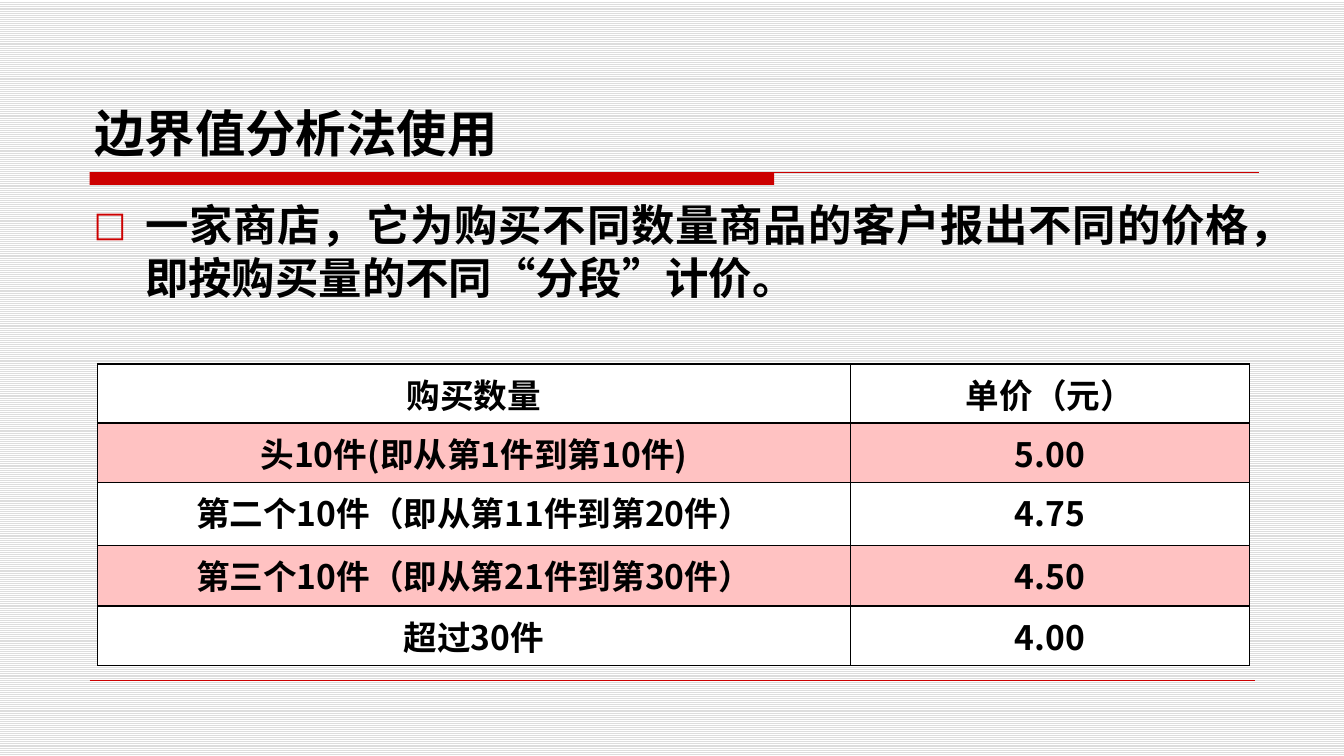
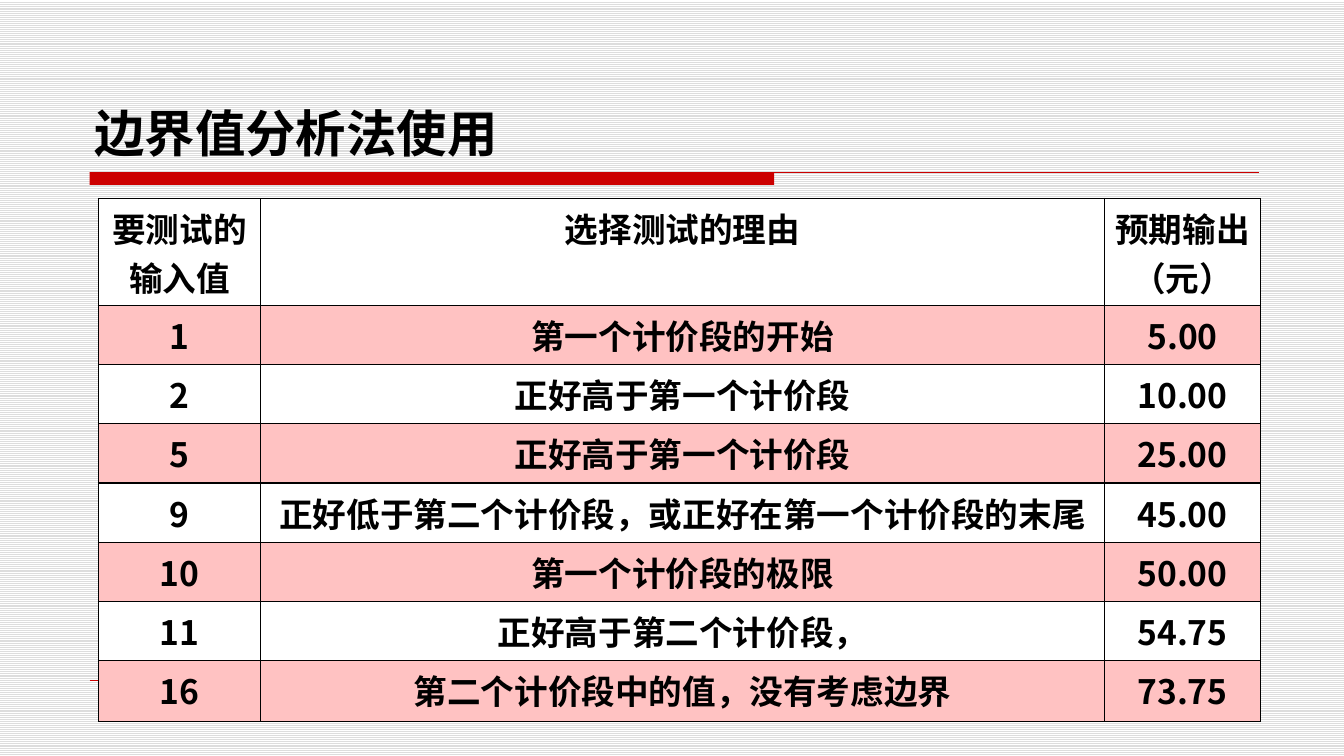
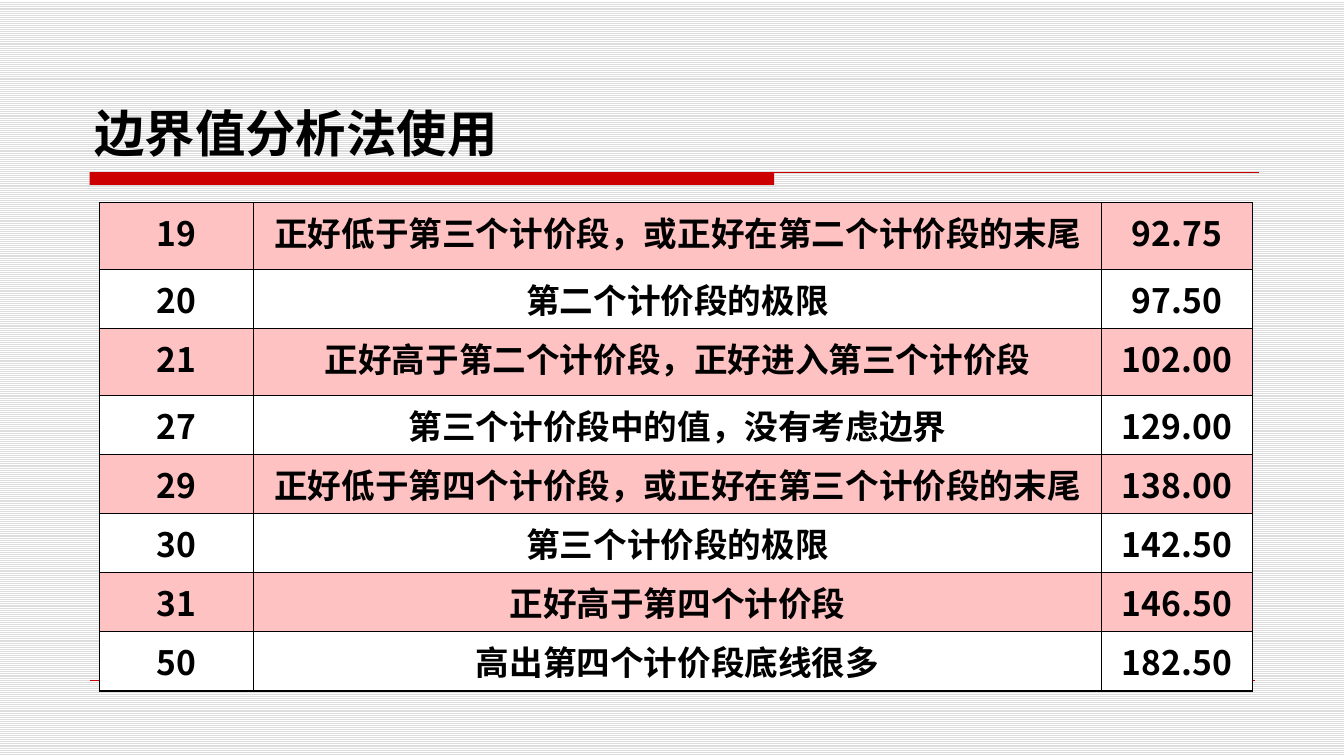
from lxml.etree import SubElement
from pptx import Presentation
from pptx.dml.color import RGBColor
from pptx.enum.dml import MSO_PATTERN
from pptx.enum.shapes import MSO_CONNECTOR, MSO_SHAPE
from pptx.enum.text import MSO_ANCHOR, PP_ALIGN
from pptx.oxml.ns import qn
from pptx.util import Cm, Pt

COLORS = {"text": "000000", "accent": "CC0000", "tint": "FFC2C2",
          "plain": "FFFFFF", "stripe": "DDDDDD"}
CJK_FONT = "Noto Sans CJK SC"
BODY_FONT = "DejaVu Sans"

TITLE = "边界值分析法使用"
INTRO = "一家商店，它为购买不同数量商品的客户报出不同的价格，即按购买量的不同“分段”计价。"

# Lengths are in centimetres; tinted_from is the first tinted row, then every second one.
ROW_HEIGHT = 1.49
TABLES = [
    {
        "intro": INTRO, "left": 2.46, "top": 9.17, "tinted_from": 1,
        "columns": [18.97, 10.06],
        "taller_rows": {2: 1.6, 3: 1.52},
        "rows": [
            ("购买数量", "单价（元）"),
            ("头10件(即从第1件到第10件)", "5.00"),
            ("第二个10件（即从第11件到第20件）", "4.75"),
            ("第三个10件（即从第21件到第30件）", "4.50"),
            ("超过30件", "4.00"),
        ],
    },
    {
        "intro": None, "left": 2.48, "top": 5.0, "tinted_from": 1,
        "columns": [4.09, 21.26, 3.94],
        "taller_rows": {0: 2.7, 7: 1.55},
        "rows": [
            ("要测试的输入值", "选择测试的理由", "预期输出（元）"),
            ("1", "第一个计价段的开始", "5.00"),
            ("2", "正好高于第一个计价段", "10.00"),
            ("5", "正好高于第一个计价段", "25.00"),
            ("9", "正好低于第二个计价段，或正好在第一个计价段的末尾", "45.00"),
            ("10", "第一个计价段的极限", "50.00"),
            ("11", "正好高于第二个计价段，", "54.75"),
            ("16", "第二个计价段中的值，没有考虑边界", "73.75"),
        ],
    },
    {
        "intro": None, "left": 2.5, "top": 5.11, "tinted_from": 0,
        "columns": [3.89, 21.37, 3.8],
        "taller_rows": {0: 1.68, 2: 1.68},
        "rows": [
            ("19", "正好低于第三个计价段，或正好在第二个计价段的末尾", "92.75"),
            ("20", "第二个计价段的极限", "97.50"),
            ("21", "正好高于第二个计价段，正好进入第三个计价段", "102.00"),
            ("27", "第三个计价段中的值，没有考虑边界", "129.00"),
            ("29", "正好低于第四个计价段，或正好在第三个计价段的末尾", "138.00"),
            ("30", "第三个计价段的极限", "142.50"),
            ("31", "正好高于第四个计价段", "146.50"),
            ("50", "高出第四个计价段底线很多", "182.50"),
        ],
    },
]


def color(name):
    """Return a palette colour."""
    return RGBColor.from_string(COLORS[name])


def add_run(paragraph, text, size, font=CJK_FONT):
    """Add a bold run with its Latin and East Asian fonts."""
    run = paragraph.add_run()
    run.text = text
    run.font.size = Pt(size)
    run.font.bold = True
    run.font.name = font
    run.font.color.rgb = color("text")
    SubElement(run.font._element, qn("a:ea"), typeface=CJK_FONT)


def add_text_box(slide, left, top, width, height, anchor):
    """Add a wrapping text box and return its frame."""
    frame = slide.shapes.add_textbox(Cm(left), Cm(top), Cm(width), Cm(height)).text_frame
    frame.word_wrap = True
    frame.vertical_anchor = anchor
    return frame


def add_rule(slide, left, right, y, weight):
    """Add a thin horizontal accent line."""
    rule = slide.shapes.add_connector(MSO_CONNECTOR.STRAIGHT, Cm(left), Cm(y), Cm(right), Cm(y))
    rule.line.color.rgb = color("accent")
    rule.line.width = Pt(weight)
    SubElement(rule._element.spPr, qn("a:effectLst"))


def add_frame(presentation):
    """Add a slide with the striped background, title, band and rules."""
    slide = presentation.slides.add_slide(presentation.slide_layouts[6])
    fill = slide.background.fill
    fill.patterned()
    fill.pattern = MSO_PATTERN.LIGHT_HORIZONTAL
    fill.fore_color.rgb = color("stripe")
    fill.back_color.rgb = color("plain")

    band = slide.shapes.add_shape(MSO_SHAPE.RECTANGLE, Cm(2.26), Cm(4.34), Cm(17.25), Cm(0.32))
    band.shadow.inherit = False
    band.fill.solid()
    band.fill.fore_color.rgb = color("accent")
    band.line.fill.background()
    add_rule(slide, 2.26, 31.73, 4.34, 0.75)
    add_rule(slide, 2.26, 31.62, 17.15, 0.25)

    title = add_text_box(slide, 2.13, 0.84, 29.64, 3.38, MSO_ANCHOR.BOTTOM)
    add_run(title.paragraphs[0], TITLE, 36)
    return slide


def add_intro(slide, text):
    """Add the body paragraph with its square bullet."""
    paragraph = add_text_box(slide, 2.11, 4.88, 29.64, 11.86, MSO_ANCHOR.TOP).paragraphs[0]
    paragraph.alignment = PP_ALIGN.JUSTIFY
    paragraph.line_spacing = 1.0
    paragraph.space_before = Pt(4)
    properties = paragraph._p.get_or_add_pPr()
    properties.set("marL", str(Cm(1.3)))
    properties.set("indent", str(Cm(-1.3)))
    bullet_color = SubElement(properties, qn("a:buClr"))
    SubElement(bullet_color, qn("a:srgbClr"), val=COLORS["accent"])
    SubElement(properties, qn("a:buSzPct"), val="80000")
    SubElement(properties, qn("a:buFont"), typeface=BODY_FONT)
    SubElement(properties, qn("a:buChar"), char="□")
    add_run(paragraph, text, 31, BODY_FONT)


def style_cell(cell, fill_name):
    """Give a cell its margins, borders and fill."""
    cell.margin_left = cell.margin_right = Cm(0.18)
    cell.margin_top = cell.margin_bottom = Cm(0.13)
    properties = cell._tc.get_or_add_tcPr()
    for side in ("lnL", "lnR", "lnT", "lnB"):
        border = SubElement(properties, qn(f"a:{side}"), w=str(Pt(1)))
        border_fill = SubElement(border, qn("a:solidFill"))
        SubElement(border_fill, qn("a:srgbClr"), val=COLORS["text"])
    cell.fill.solid()
    cell.fill.fore_color.rgb = color(fill_name)


def add_price_table(slide, content):
    """Add a bordered table whose rows alternate in colour."""
    columns, rows = content["columns"], content["rows"]
    heights = [content["taller_rows"].get(index, ROW_HEIGHT) for index in range(len(rows))]
    table = slide.shapes.add_table(
        len(rows), len(columns), Cm(content["left"]), Cm(content["top"]),
        Cm(sum(columns)), Cm(sum(heights))).table
    table.first_row = table.horz_banding = False
    for column, width in zip(table.columns, columns):
        column.width = Cm(width)
    for row_index, (row, height, texts) in enumerate(zip(table.rows, heights, rows)):
        row.height = Cm(height)
        fill_name = "tint" if row_index % 2 == content["tinted_from"] else "plain"
        for cell, text in zip(row.cells, texts):
            style_cell(cell, fill_name)
            paragraph = cell.text_frame.paragraphs[0]
            paragraph.alignment = PP_ALIGN.CENTER
            add_run(paragraph, text, 24)


def main():
    """Build and save the slides."""
    presentation = Presentation()
    presentation.slide_width, presentation.slide_height = Cm(33.87), Cm(19.05)
    for content in TABLES:
        slide = add_frame(presentation)
        if content["intro"]:
            add_intro(slide, content["intro"])
        add_price_table(slide, content)
    presentation.save("out.pptx")


main()
